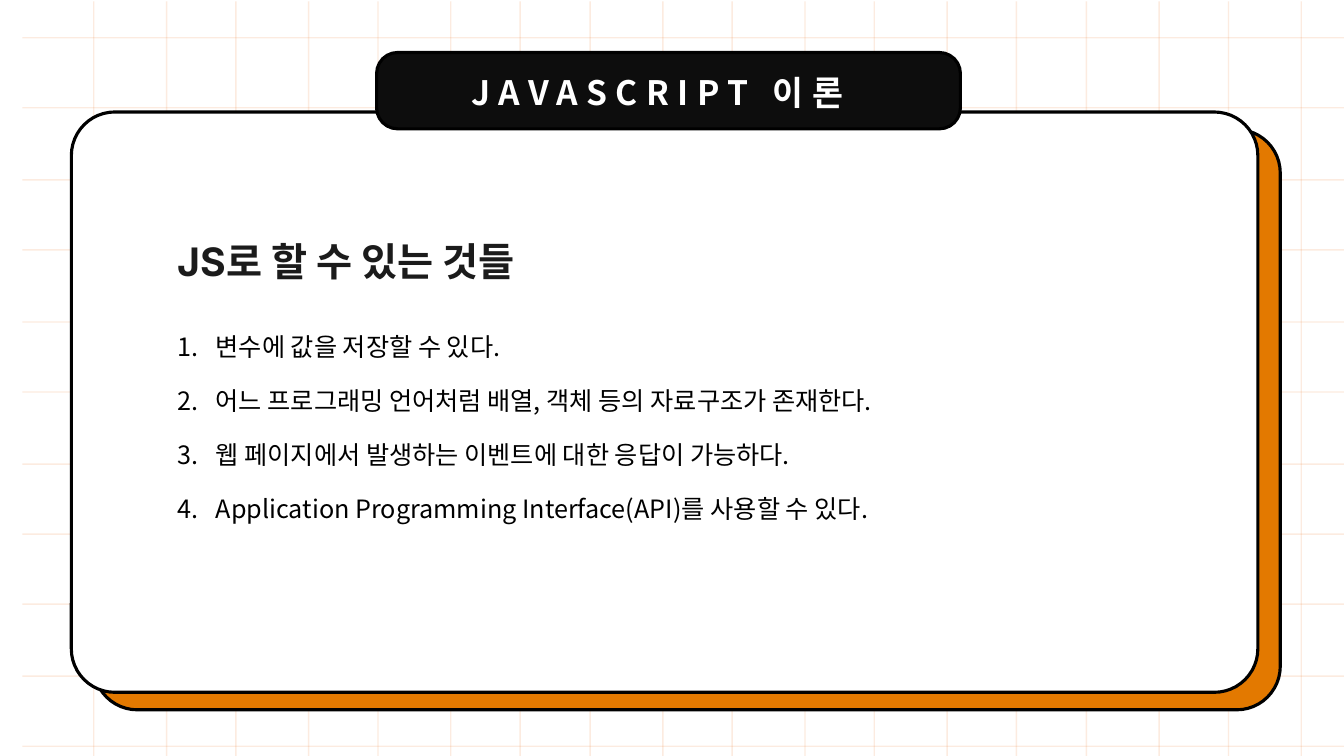
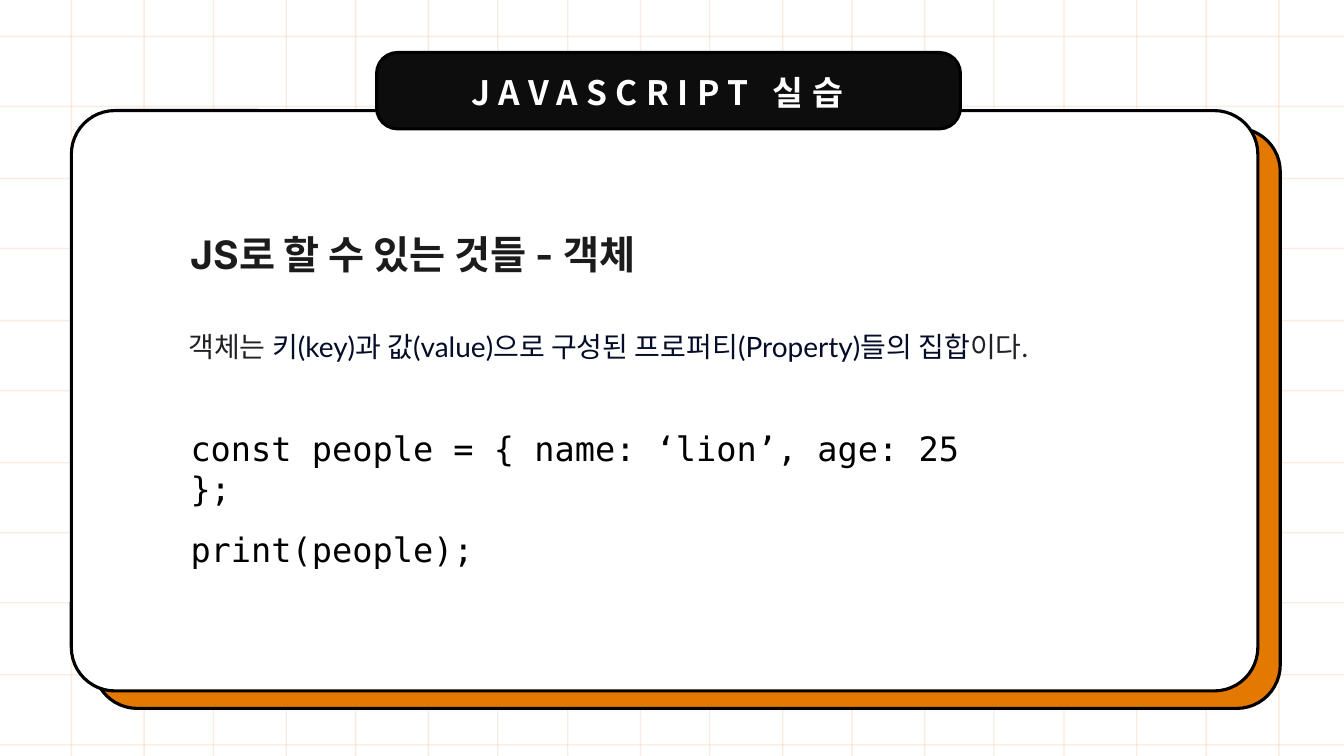
from lxml import etree
from pptx import Presentation
from pptx.dml.color import RGBColor
from pptx.enum.shapes import MSO_CONNECTOR, MSO_SHAPE
from pptx.enum.text import MSO_ANCHOR, MSO_AUTO_SIZE, PP_ALIGN
from pptx.oxml.ns import qn
from pptx.util import Pt

STRAIGHT = MSO_CONNECTOR.STRAIGHT
ROUNDED = MSO_SHAPE.ROUNDED_RECTANGLE
TOP = MSO_ANCHOR.TOP
GROW = MSO_AUTO_SIZE.SHAPE_TO_FIT_TEXT
LEFT, CENTER = PP_ALIGN.LEFT, PP_ALIGN.CENTER

WIDTH, HEIGHT = 960, 540
GRID, ORANGE, WHITE, BLACK = "ED7D31", "E37900", "FFFFFF", "000000"
PILL, HEADING, GRAY, NAVY = "0D0D0D", "1B1B1B", "202124", "040C28"
KOREAN, HEADING_FONT, BODY_FONT, CODE_FONT = "Noto Sans CJK KR", "Inter", "Lato", "DejaVu Sans Mono"


def color(value):
    return RGBColor.from_string(value)


def write(box, paragraphs, size, font, fill=BLACK, bold=False, spacing=0,
          align=LEFT, line_spacings=(), numbered=False, gap=0):
    frame = box.text_frame
    frame.word_wrap = True
    frame.auto_size = GROW
    frame.vertical_anchor = TOP
    for index, spans in enumerate(paragraphs):
        para = frame.paragraphs[0] if index == 0 else frame.add_paragraph()
        para.alignment = align
        if line_spacings:
            para.line_spacing = line_spacings[index]
        if index:
            para.space_before = Pt(gap)
        if numbered:
            properties = para._p.get_or_add_pPr()
            properties.set("marL", str(Pt(27)))
            properties.set("indent", str(Pt(-27)))
            etree.SubElement(properties, qn("a:buAutoNum"), type="arabicPeriod")
        for text, span_fill in [(spans, fill)] if isinstance(spans, str) else spans:
            span = para.add_run()
            span.text = text
            span.font.size = Pt(size)
            span.font.name = font
            span.font.bold = bold
            span.font.color.rgb = color(span_fill)
            run_properties = span.font._element
            run_properties.set("spc", str(spacing * 100))
            etree.SubElement(run_properties, qn("a:ea"), typeface=KOREAN)


heading_style = {"size": 28, "font": HEADING_FONT, "fill": HEADING, "bold": True}
slides = [
    {
        "title": "JAVASCRIPT 이론",
        "grid_origin": (16, 1),
        "card_top": 80,
        "texts": [
            ((120, 166, 481, 41), ["JS로 할 수 있는 것들"], heading_style),
            ((120, 233, 673, 181), [
                "변수에 값을 저장할 수 있다.",
                "어느 프로그래밍 언어처럼 배열, 객체 등의 자료구조가 존재한다.",
                "웹 페이지에서 발생하는 이벤트에 대한 응답이 가능하다.",
                "Application Programming Interface(API)를 사용할 수 있다.",
            ], {"size": 18, "font": KOREAN, "numbered": True, "gap": 17}),
        ],
    },
    {
        "title": "JAVASCRIPT 실습",
        "grid_origin": (0, 0),
        "card_top": 79,
        "texts": [
            ((129, 161, 481, 41), ["JS로 할 수 있는 것들 - 객체"], heading_style),
            ((129, 302, 577, 76), [
                "const people = { name: ‘lion’, age: 25 };",
                "print(people);",
            ], {"size": 24, "font": CODE_FONT, "line_spacings": (1.0, 1.5)}),
            ((127.5, 219.5, 693, 40), [[
                ("객체는 ", GRAY),
                ("키(key)과 값(value)으로 구성된 프로퍼티(Property)들의 집합", NAVY),
                ("이다.", GRAY),
            ]], {"size": 20, "font": BODY_FONT, "line_spacings": (1.5,)}),
        ],
    },
]

deck = Presentation()
deck.slide_width, deck.slide_height = Pt(WIDTH), Pt(HEIGHT)
title_only = deck.slide_layouts[5]

for content in slides:
    page = deck.slides.add_slide(title_only)
    origin_x, origin_y = content["grid_origin"]

    grid_lines = []
    for count, first_gap in ((18, 52), (11, 50)):
        for index in range(count):
            block, place = divmod(index, 7)
            offset = block * 354.5 + place // 2 * 101.5 + place % 2 * first_gap
            if count == 18:
                x = origin_x + 51 + offset
                grid_lines.append((x, origin_y, x, HEIGHT))
            else:
                y = origin_y + 26 + offset
                grid_lines.append((origin_x, y, WIDTH, y))
    for ends in grid_lines:
        line = page.shapes.add_connector(STRAIGHT, *map(Pt, ends))
        line.line.width = Pt(1)
        line.line.color.rgb = color(GRID)
        shape_properties = line._element.spPr
        tint = shape_properties.find(".//" + qn("a:srgbClr"))
        etree.SubElement(tint, qn("a:alpha"), val="15000")
        etree.SubElement(shape_properties, qn("a:effectLst"))

    card_top = content["card_top"]
    for left, top, width, height, radius, fill in (
        (67, card_top + 12.5, 847.5, 414.5, 0.075, ORANGE),
        (51, card_top, 847.5, 414.5, 0.075, WHITE),
        (269, 37.5, 417, 54.5, 0.275, PILL),
    ):
        panel = page.shapes.add_shape(ROUNDED, Pt(left), Pt(top), Pt(width), Pt(height))
        panel.adjustments[0] = radius
        panel.shadow.inherit = False
        panel.fill.solid()
        panel.fill.fore_color.rgb = color(fill)
        panel.line.color.rgb = color(BLACK)
        panel.line.width = Pt(2.25)

    title = page.shapes.title
    title.left, title.top, title.width, title.height = Pt(306), Pt(47.5), Pt(327), Pt(36)
    title._element.getparent().append(title._element)
    write(title, [content["title"]], size=24, font=KOREAN, fill=WHITE, bold=True,
          spacing=6, align=CENTER)

    for frame, paragraphs, style in content["texts"]:
        box = page.shapes.add_textbox(*map(Pt, frame))
        write(box, paragraphs, **style)

deck.save("out.pptx")
